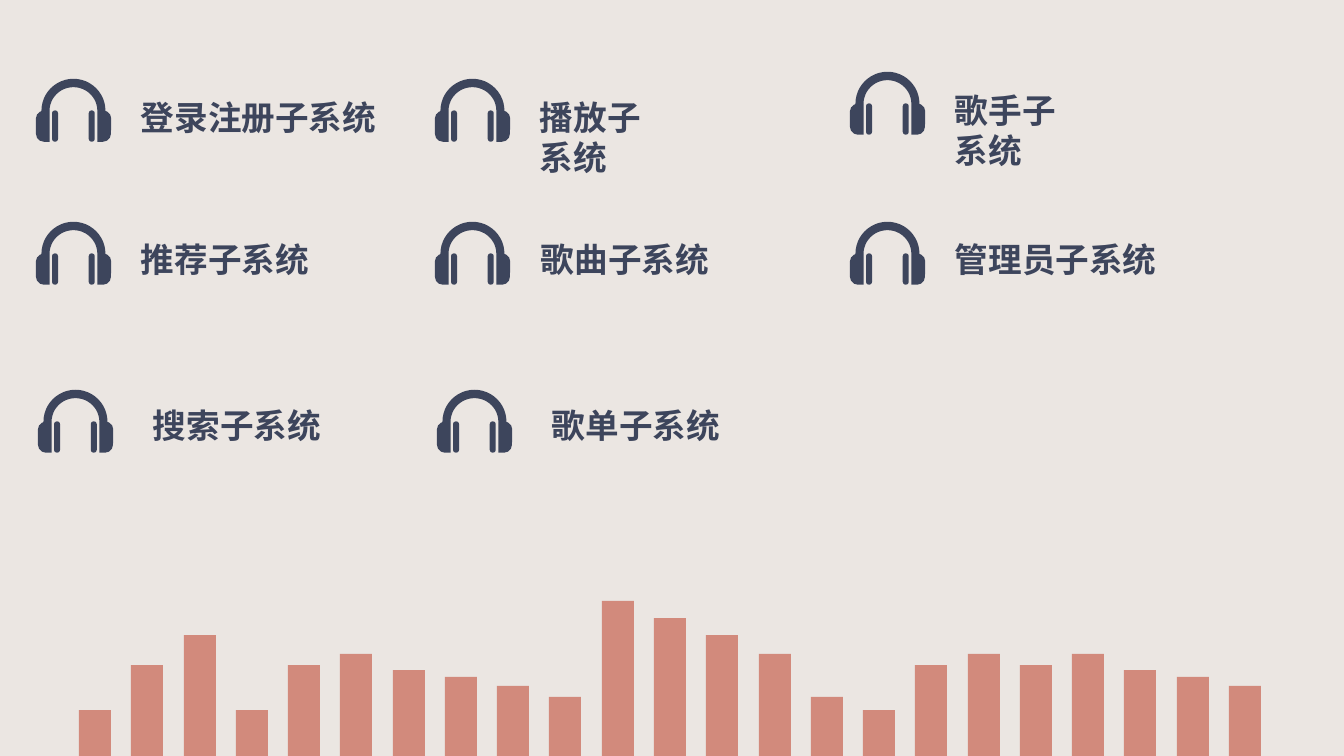
from lxml.etree import SubElement
from pptx import Presentation
from pptx.dml.color import RGBColor
from pptx.enum.shapes import MSO_SHAPE
from pptx.enum.text import MSO_AUTO_SIZE
from pptx.oxml.ns import qn
from pptx.util import Pt

RECT = MSO_SHAPE.RECTANGLE
GROW = MSO_AUTO_SIZE.SHAPE_TO_FIT_TEXT

SAND = RGBColor(0xEB, 0xE6, 0xE2)
CORAL = RGBColor(0xD2, 0x8A, 0x7C)
NAVY = RGBColor(0x3D, 0x45, 0x5C)

WIDE, HIGH = 1344, 756
PX = 12192000 / WIDE

# Bar tops, left to right
TOPS = [710, 665, 635, 710, 665, 654, 670, 677, 686, 697, 601, 618,
        635, 654, 697, 710, 665, 654, 665, 654, 670, 677, 686]
LEFT, SPAN, BAR = 79, 1150, 32

# Icon left, icon top, text left, text top, characters per line, label
ITEMS = [
    (36, 79, 131, 92, 7, "登录注册子系统"),
    (36, 222, 131, 234, 5, "推荐子系统"),
    (38, 390, 143, 400, 5, "搜索子系统"),
    (435, 79, 530, 92, 3, "播放子系统"),
    (435, 222, 531, 234, 5, "歌曲子系统"),
    (437, 390, 542, 400, 5, "歌单子系统"),
    (850, 72, 945, 85, 3, "歌手子系统"),
    (850, 222, 945, 234, 6, "管理员子系统"),
]


def stick(x):
    """Upright bar with round ends."""
    return [(x - 30, 343), (30, 29, 180, 180), (x + 30, 599), (30, 29, 0, 180)]


# Headphone outlines in tenths of a px: points (x, y) and
# arcs (x radius, y radius, start angle, swing)
BAND = [(55, 318), (320, 320, 180, 180), (695, 320), (80, 74, 288, 72),
        (750, 548), (80, 80, 0, 90), (614, 628), (614, 319),
        (239, 237, 0, -180), (136, 628), (80, 628), (80, 80, 90, 90),
        (0, 392), (80, 74, 180, 72)]
PHONES = [BAND, stick(191), stick(558)]
FRAME = [(750, 0), (750, 628), (0, 628)]


class Deck:
    font = {"name": "Noto Sans CJK SC", "size": Pt(24), "bold": True}

    def __init__(self):
        self.prs = Presentation()
        self.prs.slide_width = self.emu(WIDE)
        self.prs.slide_height = self.emu(HIGH)
        self.slide = self.prs.slides.add_slide(self.prs.slide_layouts[6])
        fill = self.slide.background.fill
        fill.solid()
        fill.fore_color.rgb = SAND
        self.group()

    def emu(self, px):
        return round(px * PX)

    def group(self):
        self.shapes = self.slide.shapes.add_group_shape().shapes

    def paint(self, shape, color):
        shape.shadow.inherit = False
        shape.fill.solid()
        shape.fill.fore_color.rgb = color
        shape.line.fill.background()

    def bar(self, x, y, w, h):
        box = map(self.emu, (x, y, w, h))
        self.paint(self.shapes.add_shape(RECT, *box), CORAL)

    def trace(self, route, line):
        """Write one closed outline of points and arcs."""
        for i, step in enumerate(line):
            if len(step) == 2:
                tag = "a:lnTo" if i else "a:moveTo"
                point = SubElement(SubElement(route, qn(tag)), qn("a:pt"))
                point.set("x", str(step[0]))
                point.set("y", str(step[1]))
            else:
                rx, ry, start, swing = step
                arc = SubElement(route, qn("a:arcTo"))
                arc.set("wR", str(rx))
                arc.set("hR", str(ry))
                arc.set("stAng", str(start * 60000))
                arc.set("swAng", str(swing * 60000))
        SubElement(route, qn("a:close"))

    def icon(self, x, y):
        pen = self.shapes.build_freeform(0, 0, scale=PX / 10)
        pen.add_line_segments(FRAME, close=True)
        shape = pen.convert_to_shape(self.emu(x), self.emu(y))
        # Real arcs take the place of the straight frame
        route = shape.element.find(".//" + qn("a:path"))
        for part in list(route):
            route.remove(part)
        for line in PHONES:
            self.trace(route, line)
        self.paint(shape, NAVY)

    def label(self, x, y, count, text):
        # Room for the characters of one line and both margins
        w = 34 * count + 20 + (12 if count < len(text) else 0)
        box = self.shapes.add_textbox(*map(self.emu, (x, y, w, 50)))
        frame = box.text_frame
        frame.word_wrap = True
        frame.auto_size = GROW
        run = frame.paragraphs[0].add_run()
        run.text = text
        for key, value in self.font.items():
            setattr(run.font, key, value)
        run.font.color.rgb = NAVY


def main():
    deck = Deck()

    # Equalizer bars along the bottom
    for i, top in enumerate(TOPS):
        left = LEFT + round(i * SPAN / (len(TOPS) - 1))
        deck.bar(left, top, BAR, HIGH - top)

    # Subsystems with headphone icons
    deck.group()
    for left, top, x, y, count, text in ITEMS:
        deck.icon(left, top)
        deck.label(x, y, count, text)

    deck.prs.save("out.pptx")


if __name__ == "__main__":
    main()
